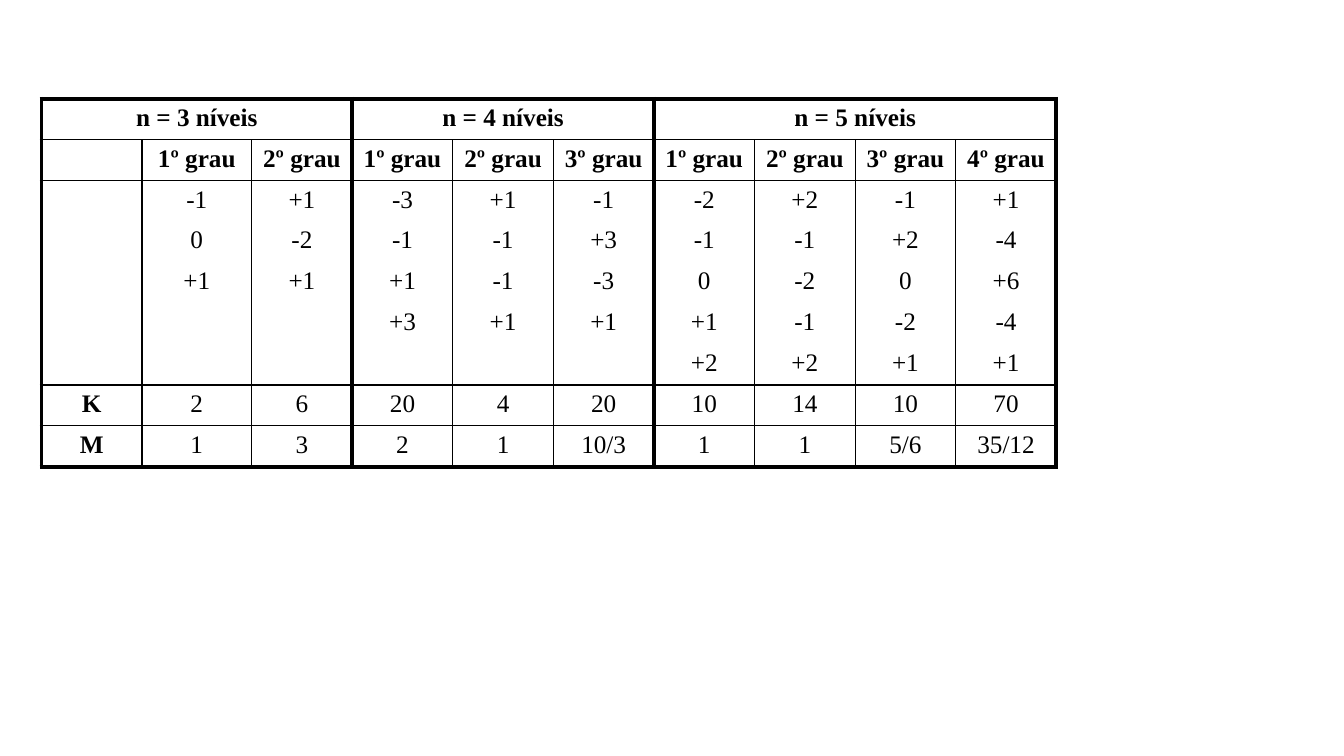
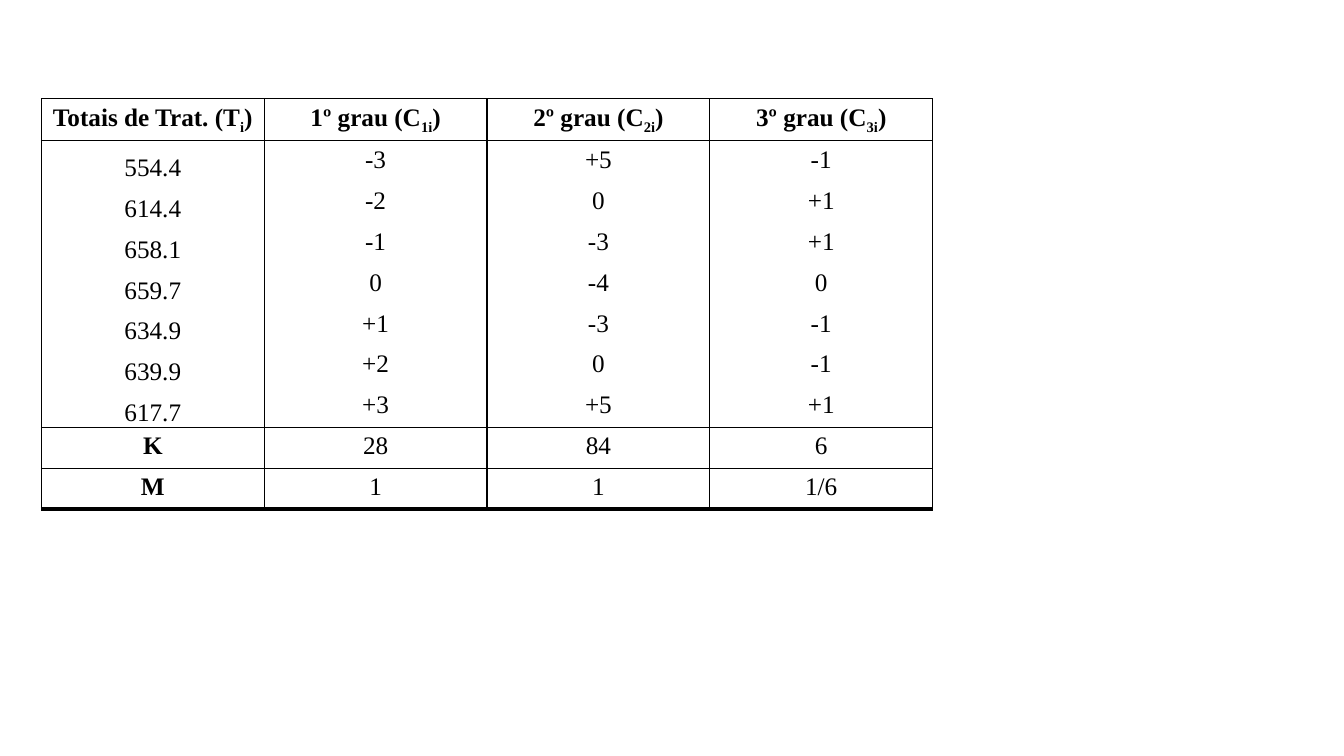
"""Builds two slides with tables of orthogonal polynomial coefficients."""
import itertools

import lxml.etree
import pptx
import pptx.dml.color
import pptx.enum.text
import pptx.oxml.ns
import pptx.util

FONT, SIZE, INK = "Times New Roman", 18, "000000"
THIN, THICK = 1, 3
LEFT, TOP = 3.08, 13.07
PLAIN_STYLE = "{2D5ABB26-0587-4C30-8999-92F81FD0307C}"


def rgb(value):
    return pptx.dml.color.RGBColor.from_string(value)


def write(tf, text, size=SIZE, bold=False, color=INK, font=FONT):
    p = tf.paragraphs[0]
    p.alignment = pptx.enum.text.PP_ALIGN.CENTER
    p.font.size, p.font.name = pptx.util.Pt(size), font
    for i, part in enumerate(text.split("_") if text else []):
        r = p.add_run()
        r.text = part
        r.font.size, r.font.name, r.font.bold = pptx.util.Pt(size), font, bold
        r.font.color.rgb = rgb(color)
        if i % 2:
            r.font._element.set("baseline", "-25000")


def rule(cell, side, weight):
    qn = pptx.oxml.ns.qn
    ln = lxml.etree.SubElement(cell._tc.get_or_add_tcPr(), qn("a:ln" + side))
    if not weight:
        lxml.etree.SubElement(ln, qn("a:noFill"))
        return
    ln.set("w", str(pptx.util.Pt(weight)))
    fill = lxml.etree.SubElement(ln, qn("a:solidFill"))
    lxml.etree.SubElement(fill, qn("a:srgbClr")).set("val", INK)


class Deck:
    def __init__(self):
        self.prs = pptx.Presentation()
        self.prs.slide_width = pptx.util.Inches(13.33)
        self.prs.slide_height = pptx.util.Inches(7.5)

    def slide(self):
        self.s = self.prs.slides.add_slide(self.prs.slide_layouts[6])

    def x(self, percent):
        return int(self.prs.slide_width * percent / 100)

    def y(self, percent):
        return int(self.prs.slide_height * percent / 100)

    def table(self, rows, width, height, columns, lines, heads=1, groups=(), flush=()):
        sp = self.s.shapes.add_table(len(rows), len(columns), self.x(LEFT),
                                     self.y(TOP), self.x(width), self.y(height))
        table = sp.table
        table.first_row = table.horz_banding = False
        sp._element.find(".//" + pptx.oxml.ns.qn("a:tableStyleId")).text = PLAIN_STYLE
        for column, share in zip(table.columns, columns):
            column.width = int(self.x(width) * share / sum(columns))
        for start, stop in itertools.pairwise(groups):
            table.cell(0, start).merge(table.cell(0, stop - 1))
        for i, row in enumerate(rows):
            for j, text in enumerate(row):
                cell = table.cell(i, j)
                start, stop = j, j + 1
                if groups and i == 0:
                    start = max(g for g in groups if g <= j)
                    stop = min(g for g in groups if g > j)
                rule(cell, "L", THICK if start in groups else THIN)
                rule(cell, "R", THICK if stop in groups else THIN)
                rule(cell, "T", lines.get(i))
                rule(cell, "B", lines.get(i + 1))
                cell.fill.background()
                low = j == 0 and i in flush
                if low:
                    cell.vertical_anchor = pptx.enum.text.MSO_ANCHOR.BOTTOM
                    cell.margin_left = cell.margin_right = pptx.util.Inches(0.01)
                    cell.margin_top = pptx.util.Inches(0.01)
                    cell.margin_bottom = 0
                write(cell.text_frame, text, bold=i < heads or (j == 0 and not low))


LEVELS = [
    ["n = 3 níveis", "", "", "n = 4 níveis", "", "", "n = 5 níveis", "", "", ""],
    [""] + [f"{degree}º grau" for top in (2, 3, 4) for degree in range(1, top + 1)],
    ["", "-1", "+1", "-3", "+1", "-1", "-2", "+2", "-1", "+1"],
    ["", "0", "-2", "-1", "-1", "+3", "-1", "-1", "+2", "-4"],
    ["", "+1", "+1", "+1", "-1", "-3", "0", "-2", "0", "+6"],
    ["", "", "", "+3", "+1", "+1", "+1", "-1", "-2", "-4"],
    ["", "", "", "", "", "", "+2", "+2", "+1", "+1"],
    ["K", "2", "6", "20", "4", "20", "10", "14", "10", "70"],
    ["M", "1", "3", "2", "1", "10/3", "1", "1", "5/6", "35/12"],
]
TOTALS = [
    ["Totais de Trat. (T_i_)"] + [f"{d}º grau (C_{d}i_)" for d in (1, 2, 3)],
    ["554.4", "-3", "+5", "-1"],
    ["614.4", "-2", "0", "+1"],
    ["658.1", "-1", "-3", "+1"],
    ["659.7", "0", "-4", "0"],
    ["634.9", "+1", "-3", "-1"],
    ["639.9", "+2", "0", "-1"],
    ["617.7", "+3", "+5", "+1"],
    ["K", "28", "84", "6"],
    ["M", "1", "1", "1/6"],
]

deck = Deck()
deck.slide()
deck.table(LEVELS, 75.54, 48.67, [1, 1.09] + [1] * 8, heads=2, groups=(0, 3, 6, 10),
           lines={0: THICK, 1: THIN, 2: THIN, 7: THIN, 8: THIN, 9: THICK})
deck.slide()
deck.table(TOTALS, 66.32, 54.13, [1] * 4, flush=range(1, 8),
           lines={0: THIN, 1: THIN, 8: THIN, 9: THIN, 10: THICK})
deck.prs.save("out.pptx")
